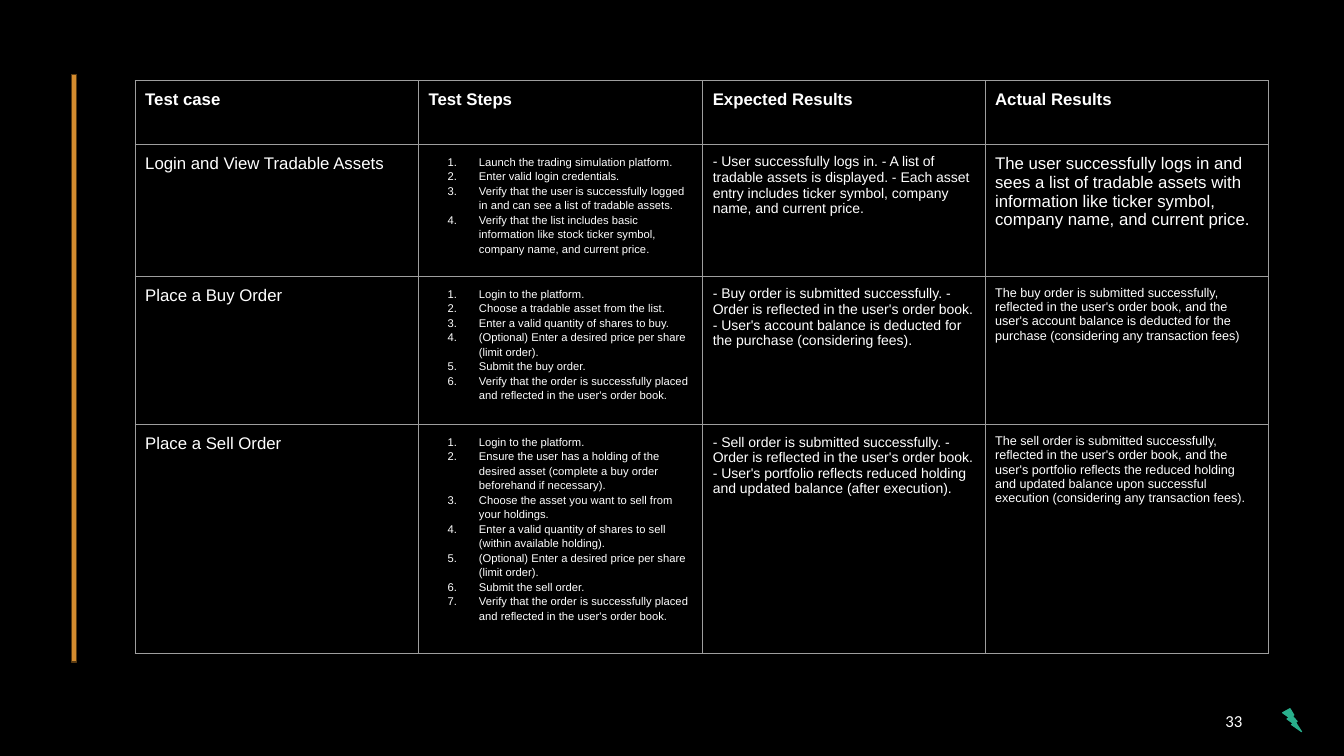
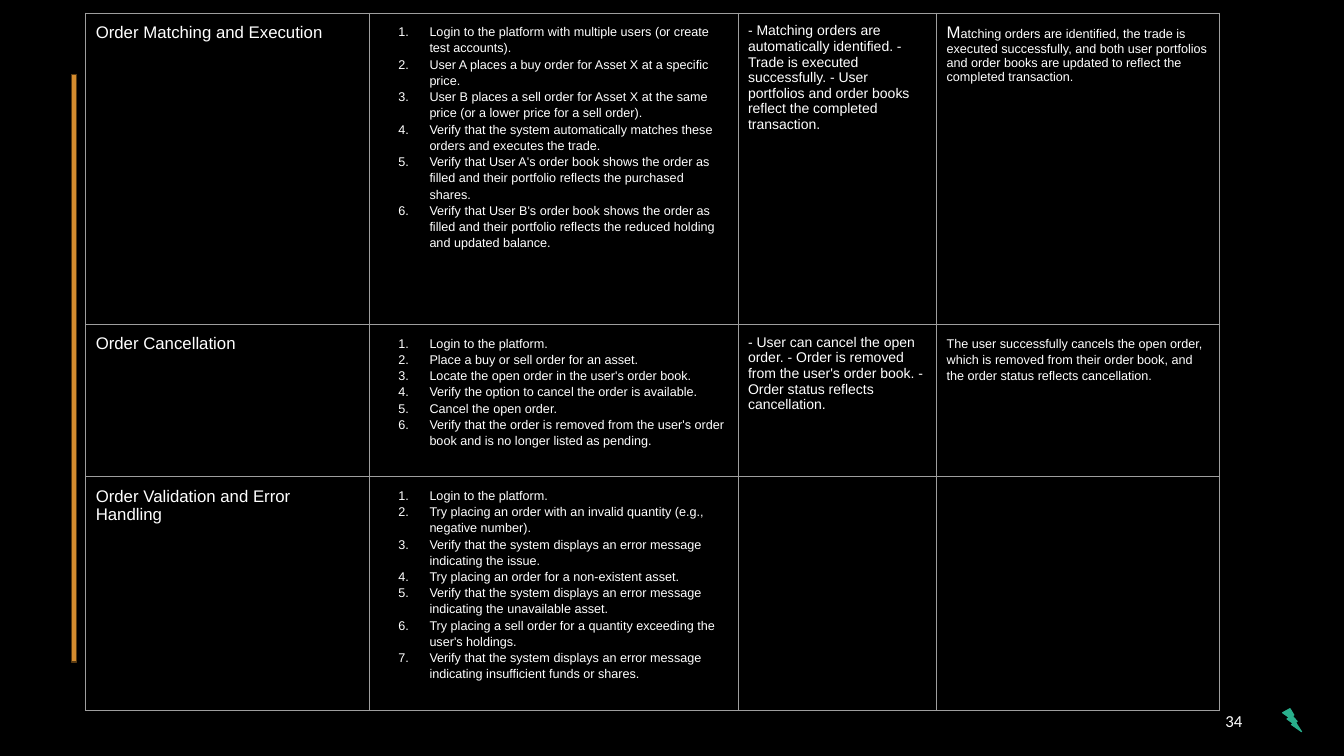
from lxml import etree
from pptx import Presentation
from pptx.dml.color import RGBColor
from pptx.enum import shapes, text
from pptx.oxml import ns
from pptx.util import Inches, Pt

# Shared look
COLORS = {"back": "000000", "text": "FFFFFF", "grid": "9E9E9E",
          "bar": "D58C2E", "bar_edge": "593B13", "bolt": "29AF8C"}
FONT, NUMBER_FONT = "Arial", "Calibri"
CASE_SIZE, EXPECTED_SIZE = 12, 10
LIST_SPACING = 1.15

# Content: rows hold case, steps, expected result, actual result as (text, size) runs,
# and the line spacing of the actual result
HEADERS = ["Test case", "Test Steps", "Expected Results", "Actual Results"]
SLIDES = [
    {
        "number": "33", "at": (1.34, 0.8), "headers": HEADERS, "step_size": 8,
        "cols": [2.81, 2.82, 2.8, 2.81], "heights": [0.63, 1.31, 1.47, 2.27],
        "rows": [
            ("Login and View Tradable Assets",
             ["Launch the trading simulation platform.",
              "Enter valid login credentials.",
              "Verify that the user is successfully logged in and can see a list of tradable assets.",
              "Verify that the list includes basic information like stock ticker symbol, "
              "company name, and current price."],
             "- User successfully logs in. - A list of tradable assets is displayed. "
             "- Each asset entry includes ticker symbol, company name, and current price.",
             [("The user successfully logs in and sees a list of tradable assets with "
               "information like ticker symbol, company name, and current price.", 12)], 1.0),
            ("Place a Buy Order",
             ["Login to the platform.",
              "Choose a tradable asset from the list.",
              "Enter a valid quantity of shares to buy.",
              "(Optional) Enter a desired price per share (limit order).",
              "Submit the buy order.",
              "Verify that the order is successfully placed and reflected in the user's order book."],
             "- Buy order is submitted successfully. - Order is reflected in the user's order book. "
             "- User's account balance is deducted for the purchase (considering fees).",
             [("The buy order is submitted successfully, reflected in the user's order book, and the "
               "user's account balance is deducted for the purchase (considering any transaction fees)",
               9)], 1.0),
            ("Place a Sell Order",
             ["Login to the platform.",
              "Ensure the user has a holding of the desired asset "
              "(complete a buy order beforehand if necessary).",
              "Choose the asset you want to sell from your holdings.",
              "Enter a valid quantity of shares to sell (within available holding).",
              "(Optional) Enter a desired price per share (limit order).",
              "Submit the sell order.",
              "Verify that the order is successfully placed and reflected in the user's order book."],
             "- Sell order is submitted successfully. - Order is reflected in the user's order book. "
             "- User's portfolio reflects reduced holding and updated balance (after execution).",
             [("The sell order is submitted successfully, reflected in the user's order book, and the "
               "user's portfolio reflects the reduced holding and updated balance upon successful "
               "execution (considering any transaction fees).", 9)], 1.0),
        ],
    },
    {
        "number": "34", "at": (0.85, 0.13), "headers": [], "step_size": 9,
        "cols": [2.81, 3.66, 1.97, 2.81], "heights": [3.09, 1.51, 2.32],
        "rows": [
            ("Order Matching and Execution",
             ["Login to the platform with multiple users (or create test accounts).",
              "User A places a buy order for Asset X at a specific price.",
              "User B places a sell order for Asset X at the same price "
              "(or a lower price for a sell order).",
              "Verify that the system automatically matches these orders and executes the trade.",
              "Verify that User A's order book shows the order as filled and their portfolio "
              "reflects the purchased shares.",
              "Verify that User B's order book shows the order as filled and their portfolio "
              "reflects the reduced holding and updated balance."],
             "- Matching orders are automatically identified. - Trade is executed successfully. "
             "- User portfolios and order books reflect the completed transaction.",
             [("M", 12),
              ("atching orders are identified, the trade is executed successfully, and both user "
               "portfolios and order books are updated to reflect the completed transaction.", 9)], 1.0),
            ("Order Cancellation",
             ["Login to the platform.",
              "Place a buy or sell order for an asset.",
              "Locate the open order in the user's order book.",
              "Verify the option to cancel the order is available.",
              "Cancel the open order.",
              "Verify that the order is removed from the user's order book and is no longer "
              "listed as pending."],
             "- User can cancel the open order. - Order is removed from the user's order book. "
             "- Order status reflects cancellation.",
             [("The user successfully cancels the open order, which is removed from their order "
               "book, and the order status reflects cancellation.", 9)], LIST_SPACING),
            ("Order Validation and Error Handling",
             ["Login to the platform.",
              "Try placing an order with an invalid quantity (e.g., negative number).",
              "Verify that the system displays an error message indicating the issue.",
              "Try placing an order for a non-existent asset.",
              "Verify that the system displays an error message indicating the unavailable asset.",
              "Try placing a sell order for a quantity exceeding the user's holdings.",
              "Verify that the system displays an error message indicating insufficient funds "
              "or shares."],
             "", [], 1.0),
        ],
    },
]


def rgb(name):
    return RGBColor.from_string(COLORS[name])


def add_run(p, words, size, bold=False, font=FONT):
    r = p.add_run()
    r.text = words
    r.font.size, r.font.bold, r.font.name = Pt(size), bold, font
    r.font.color.rgb = rgb("text")


def add_preset(s, kind, box, fill, line, width):
    sp = s.shapes.add_shape(kind, *map(Inches, box))
    sp.shadow.inherit = False
    sp.fill.solid()
    sp.fill.fore_color.rgb = rgb(fill)
    sp.line.color.rgb = rgb(line)
    sp.line.width = Pt(width)


def number_paragraph(p):
    pPr = p._p.get_or_add_pPr()
    pPr.set("marL", str(Inches(0.5)))
    pPr.set("indent", str(-Inches(0.31)))
    color = etree.SubElement(pPr, ns.qn("a:buClr"))
    etree.SubElement(color, ns.qn("a:srgbClr"), val=COLORS["text"])
    etree.SubElement(pPr, ns.qn("a:buAutoNum"), type="arabicPeriod")
    p.line_spacing = LIST_SPACING


def format_cell(cell):
    cell.margin_left = cell.margin_right = cell.margin_top = cell.margin_bottom = Inches(0.1)
    cell.fill.background()
    tcPr = cell._tc.get_or_add_tcPr()
    for i, side in enumerate(("lnL", "lnR", "lnT", "lnB")):
        line = etree.Element(ns.qn(f"a:{side}"), w=str(Pt(0.75)))
        fill = etree.SubElement(line, ns.qn("a:solidFill"))
        etree.SubElement(fill, ns.qn("a:srgbClr"), val=COLORS["grid"])
        tcPr.insert(i, line)


def fill_row(cells, row, step_size):
    case, steps, expected, actual, spacing = row
    first = [cell.text_frame.paragraphs[0] for cell in cells]
    add_run(first[0], case, CASE_SIZE)
    for i, step in enumerate(steps):
        p = cells[1].text_frame.add_paragraph() if i else first[1]
        number_paragraph(p)
        add_run(p, step, step_size)
    if expected:
        add_run(first[2], expected, EXPECTED_SIZE)
    first[3].line_spacing = spacing
    for words, size in actual:
        add_run(first[3], words, size)


def add_test_table(s, data):
    cols, heights = data["cols"], data["heights"]
    box = (*data["at"], sum(cols), sum(heights))
    table = s.shapes.add_table(len(heights), len(cols), *map(Inches, box)).table
    table.first_row = table.horz_banding = False
    for col, width in zip(table.columns, cols):
        col.width = Inches(width)
    for row, height in zip(table.rows, heights):
        row.height = Inches(height)
    for cell in table.iter_cells():
        format_cell(cell)
    body = list(table.rows)
    if data["headers"]:
        for cell, words in zip(body.pop(0).cells, data["headers"]):
            add_run(cell.text_frame.paragraphs[0], words, CASE_SIZE, bold=True)
    for row, content in zip(body, data["rows"]):
        fill_row(list(row.cells), content, data["step_size"])


def add_page_number(s, number):
    tf = s.shapes.add_textbox(*map(Inches, (9.42, 6.95, 3, 0.4))).text_frame
    tf.word_wrap = True
    tf.vertical_anchor = text.MSO_ANCHOR.MIDDLE
    p = tf.paragraphs[0]
    p.alignment = text.PP_ALIGN.RIGHT
    add_run(p, number, 12, font=NUMBER_FONT)


def main():
    prs = Presentation()
    prs.slide_width, prs.slide_height = Inches(13.33), Inches(7.5)
    back = prs.slide_master.background.fill
    back.solid()
    back.fore_color.rgb = rgb("back")
    for data in SLIDES:
        s = prs.slides.add_slide(prs.slide_layouts[6])
        add_page_number(s, data["number"])
        add_preset(s, shapes.MSO_SHAPE.RECTANGLE, (0.71, 0.74, 0.05, 5.83), "bar", "bar_edge", 1)
        add_test_table(s, data)
        add_preset(s, shapes.MSO_SHAPE.LIGHTNING_BOLT, (12.72, 7.03, 0.19, 0.23),
                   "bolt", "bolt", 0.75)
    prs.save("out.pptx")


if __name__ == "__main__":
    main()
